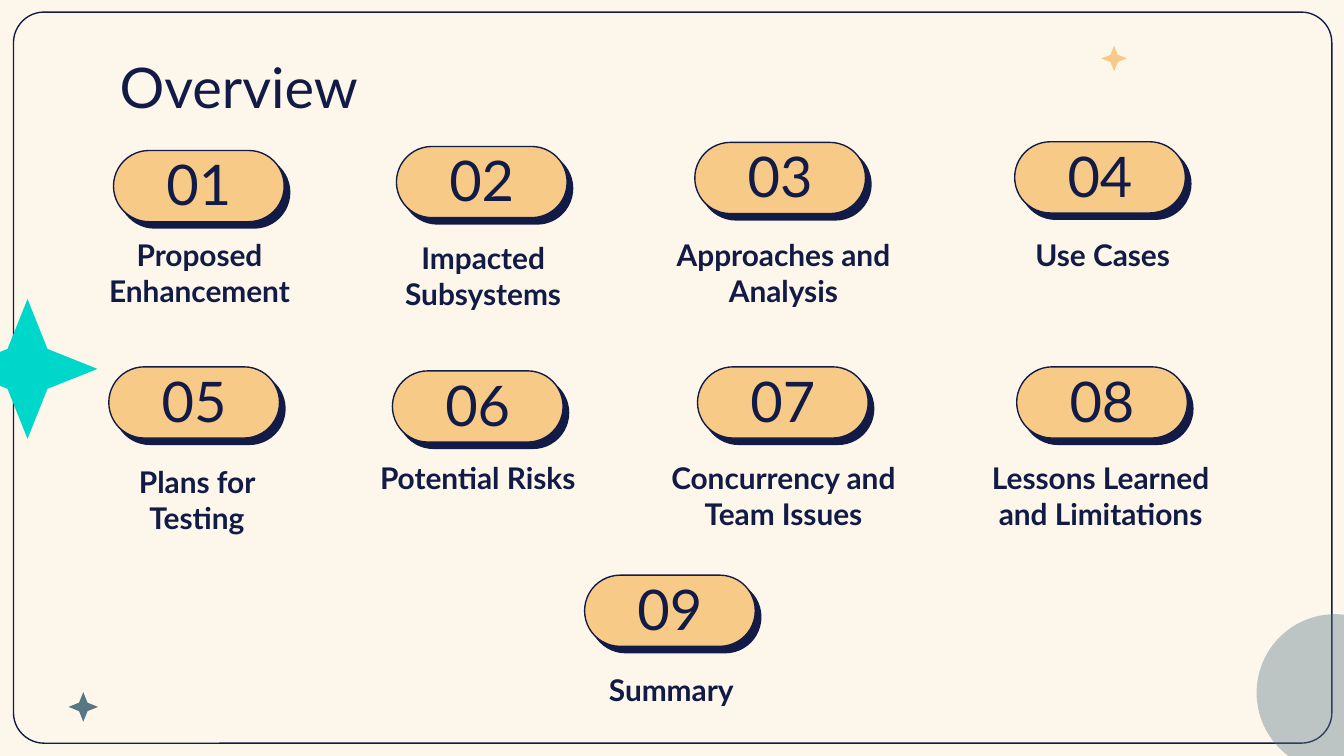
from dataclasses import dataclass

from lxml import etree
from pptx import Presentation
from pptx import util as u
from pptx.dml.color import RGBColor
from pptx.enum import shapes, text
from pptx.oxml.ns import qn


@dataclass(frozen=True)
class Theme:
    paper: str = "FDF6EB"
    ink: str = "121B46"
    sand: str = "F8CA88"
    teal: str = "00D7CB"
    slate: str = "577785"
    font: str = "Lato"
    heading: int = 30
    label: int = 16
    outline: float = 0.75


@dataclass(frozen=True)
class Area:
    """A box on the grid: columns across, rows down."""
    column: float
    row: float
    columns: float
    rows: float


@dataclass(frozen=True)
class Topic:
    column: float
    row: float
    name: str
    label: Area


THEME = Theme()
SLIDE_WIDTH = u.Inches(10)
SLIDE_HEIGHT = SLIDE_WIDTH * 9 // 16
UNIT = SLIDE_WIDTH / 100  # one grid column or row
PILL_COLUMNS, PILL_ROWS = 12.7, 5.3
NUMBER_DROP, NUMBER_ROWS = 1.05, 4.9

TOPICS = [
    Topic(8.45, 11.2, "Proposed Enhancement", Area(4.1, 16.6, 21.5, 7.5)),
    Topic(29.5, 10.9, "Impacted Subsystems", Area(25.2, 16.85, 21.5, 7.9)),
    Topic(51.7, 10.6, "Approaches and Analysis", Area(45.3, 16.6, 26, 6.8)),
    Topic(75.5, 10.55, "Use Cases", Area(72, 16.6, 20.1, 6.8)),
    Topic(8.1, 27.3, "Plans for Testing", Area(6.4, 33.5, 16.5, 7.2)),
    Topic(29.2, 27.6, "Potential Risks", Area(24.8, 33.2, 21.5, 7.5)),
    Topic(51.9, 27.3, "Concurrency and Team Issues", Area(47.8, 33.2, 21, 4.6)),
    Topic(75.65, 27.3, "Lessons Learned and Limitations", Area(71.7, 33.2, 20.4, 5.3)),
    Topic(43.5, 42.8, "Summary", Area(41.7, 49, 16.5, 7.2)),
]


def place(area: Area) -> list[int]:
    return [round(UNIT * n) for n in (area.column, area.row, area.columns, area.rows)]


def add_form(page, kind, area: Area, fill: str | None = None,
             outlined: bool = False, adjust: float | None = None):
    form = page.shapes.add_shape(kind, *place(area))
    form.shadow.inherit = False
    if adjust is not None:
        form.adjustments[0] = adjust
    if fill:
        form.fill.solid()
        form.fill.fore_color.rgb = RGBColor.from_string(fill)
    else:
        form.fill.background()
    if outlined:
        form.line.color.rgb = RGBColor.from_string(THEME.ink)
        form.line.width = u.Pt(THEME.outline)
    else:
        form.line.fill.background()
    return form


def add_hard_shadow(form) -> None:
    effects = form.element.spPr.find(qn("a:effectLst"))
    shadow = etree.SubElement(effects, qn("a:outerShdw"), dist=str(u.Pt(4.5)),
                              dir=str(49 * 60000), algn="bl", rotWithShape="0")
    etree.SubElement(shadow, qn("a:srgbClr"), val=THEME.ink)


def write(box, words: str, size: int, align=text.PP_ALIGN.CENTER,
          anchor=text.MSO_ANCHOR.TOP, bold: bool = False) -> None:
    frame = box.text_frame
    frame.text = words
    frame.word_wrap = True
    frame.auto_size = text.MSO_AUTO_SIZE.NONE
    frame.vertical_anchor = anchor
    frame.margin_left = frame.margin_right = u.Inches(0.1)
    frame.margin_top = frame.margin_bottom = u.Inches(0.1)
    para = frame.paragraphs[0]
    para.alignment = align
    span = para.runs[0]
    span.font.name = THEME.font
    span.font.size = u.Pt(size)
    span.font.bold = bold
    span.font.color.rgb = RGBColor.from_string(THEME.ink)


def add_decoration(page) -> None:
    kinds = shapes.MSO_SHAPE
    add_form(page, kinds.ROUNDED_RECTANGLE, Area(1, 0.9, 98.1, 54.4),
             outlined=True, adjust=0.042)
    circle = add_form(page, kinds.OVAL, Area(93.5, 45.7, 11.7, 11.7), THEME.slate)
    colour = circle.element.spPr.find(qn("a:solidFill"))[0]
    etree.SubElement(colour, qn("a:alpha"), val="38000")
    for column, row, size, fill in [(-3.15, 22.25, 10.4, THEME.teal),
                                    (5.1, 51.5, 2.2, THEME.slate),
                                    (81.95, 3.4, 1.9, THEME.sand)]:
        add_form(page, kinds.STAR_4_POINT, Area(column, row, size, size),
                 fill, adjust=0.202)


def add_topic(page, number: int, topic: Topic) -> None:
    pill = add_form(page, shapes.MSO_SHAPE.ROUNDED_RECTANGLE,
                    Area(topic.column, topic.row, PILL_COLUMNS, PILL_ROWS),
                    THEME.sand, outlined=True, adjust=0.5)
    add_hard_shadow(pill)
    number_area = Area(topic.column, topic.row + NUMBER_DROP, PILL_COLUMNS, NUMBER_ROWS)
    write(page.shapes.add_textbox(*place(number_area)), f"{number:02}",
          THEME.heading, anchor=text.MSO_ANCHOR.BOTTOM)
    write(page.shapes.add_textbox(*place(topic.label)), topic.name,
          THEME.label, bold=True)


def main() -> None:
    deck = Presentation()
    deck.slide_width, deck.slide_height = SLIDE_WIDTH, SLIDE_HEIGHT
    page = deck.slides.add_slide(deck.slide_layouts[5])
    page.background.fill.solid()
    page.background.fill.fore_color.rgb = RGBColor.from_string(THEME.paper)

    # Frame, circle and stars
    add_decoration(page)

    # Heading
    title = page.shapes.title
    title.left, title.top, title.width, title.height = place(Area(7.9, 2.9, 84.3, 6.3))
    write(title, "Overview", THEME.heading, align=text.PP_ALIGN.LEFT)

    # Numbered topics
    for number, topic in enumerate(TOPICS, start=1):
        add_topic(page, number, topic)

    deck.save("out.pptx")


if __name__ == "__main__":
    main()
